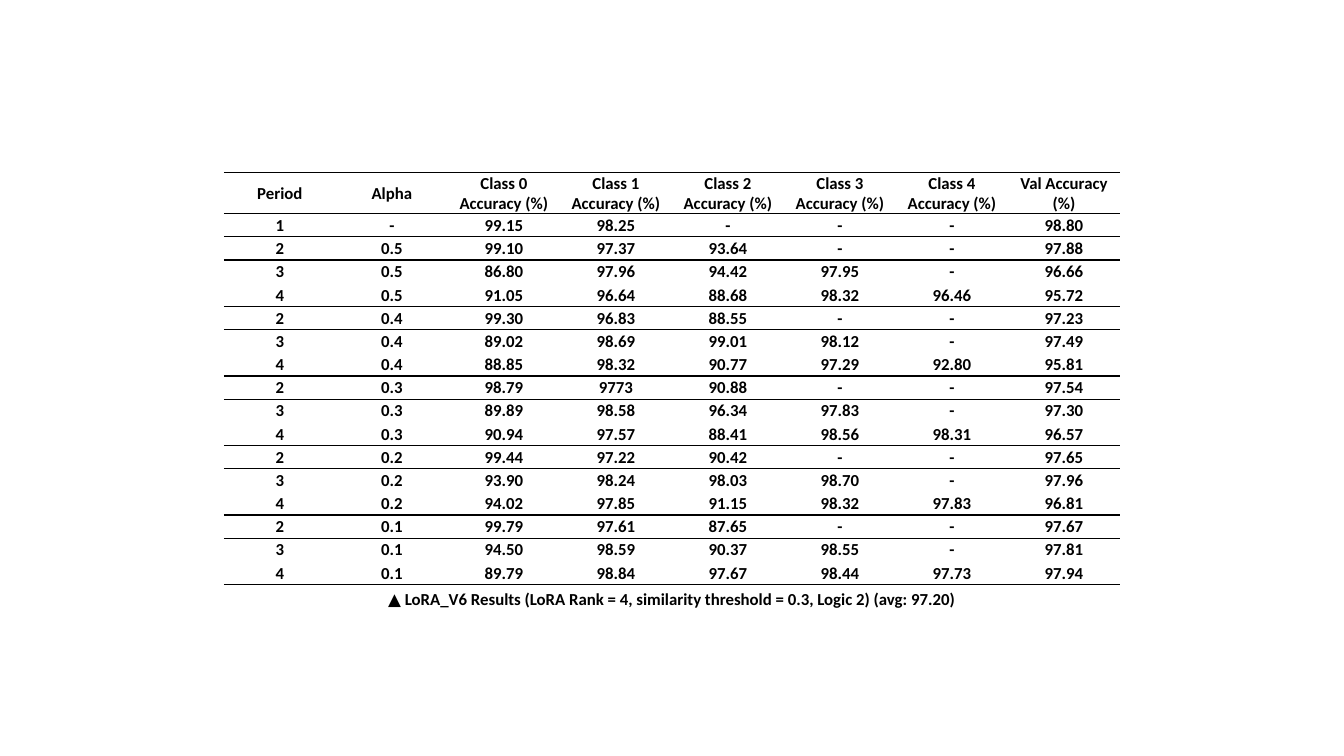
from dataclasses import dataclass

from lxml import etree
from pptx import Presentation
from pptx.dml.color import RGBColor
from pptx.enum.text import MSO_ANCHOR, MSO_AUTO_SIZE, PP_ALIGN
from pptx.oxml.ns import qn
from pptx.util import Inches, Pt

CENTER = PP_ALIGN.CENTER
MIDDLE = MSO_ANCHOR.MIDDLE
GROW = MSO_AUTO_SIZE.SHAPE_TO_FIT_TEXT


@dataclass(frozen=True)
class Theme:
    ink: str = "000000"
    font: str = "Calibri"
    symbol_font: str = "Lato"
    size: int = 12
    rule: int = 1


THEME = Theme()

CELL_FORMAT = {
    "margin_left": Inches(0.01),
    "margin_right": Inches(0.01),
    "margin_top": Inches(0.01),
    "margin_bottom": 0,
    "vertical_anchor": MIDDLE,
}
FONT_FORMAT = {"size": Pt(THEME.size), "bold": True}

HEADER = ["Period", "Alpha"]
HEADER += [f"Class {n} Accuracy (%)" for n in range(5)]
HEADER += ["Val Accuracy\n(%)"]

# Period, alpha, accuracy of classes 0 to 4, validation accuracy
RESULTS = """
1 - 99.15 98.25 - - - 98.80
2 0.5 99.10 97.37 93.64 - - 97.88
3 0.5 86.80 97.96 94.42 97.95 - 96.66
4 0.5 91.05 96.64 88.68 98.32 96.46 95.72
2 0.4 99.30 96.83 88.55 - - 97.23
3 0.4 89.02 98.69 99.01 98.12 - 97.49
4 0.4 88.85 98.32 90.77 97.29 92.80 95.81
2 0.3 98.79 9773 90.88 - - 97.54
3 0.3 89.89 98.58 96.34 97.83 - 97.30
4 0.3 90.94 97.57 88.41 98.56 98.31 96.57
2 0.2 99.44 97.22 90.42 - - 97.65
3 0.2 93.90 98.24 98.03 98.70 - 97.96
4 0.2 94.02 97.85 91.15 98.32 97.83 96.81
2 0.1 99.79 97.61 87.65 - - 97.67
3 0.1 94.50 98.59 90.37 98.55 - 97.81
4 0.1 89.79 98.84 97.67 98.44 97.73 97.94
"""

CAPTION = [
    ("▲", THEME.symbol_font),
    (" LoRA_V6 Results (LoRA Rank = 4, similarity threshold = 0.3, Logic 2) (avg: 97.20)",
     THEME.font),
]


def apply_format(target, values):
    for name, value in values.items():
        setattr(target, name, value)


def style_run(r, font_name):
    apply_format(r.font, {**FONT_FORMAT, "name": font_name})
    r.font.color.rgb = RGBColor.from_string(THEME.ink)


def set_borders(cell, top, bottom):
    """Rule the cell above and below as asked; leave the sides open."""
    tc_pr = cell._tc.get_or_add_tcPr()
    for tag, ruled in (("lnL", False), ("lnR", False), ("lnT", top), ("lnB", bottom)):
        ln = etree.SubElement(tc_pr, qn(f"a:{tag}"), w=str(Pt(THEME.rule)))
        if ruled:
            fill = etree.SubElement(ln, qn("a:solidFill"))
            etree.SubElement(fill, qn("a:srgbClr"), val=THEME.ink)
        else:
            etree.SubElement(ln, qn("a:noFill"))


def fill_cell(cell, text, top, bottom):
    apply_format(cell, CELL_FORMAT)
    set_borders(cell, top, bottom)
    cell.fill.background()
    cell.text_frame.text = text
    for p in cell.text_frame.paragraphs:
        p.alignment = CENTER
        for r in p.runs:
            style_run(r, THEME.font)


def add_results_table(slide, rows, left, top, width, header_height, row_height):
    height = header_height + row_height * (len(rows) - 1)
    table = slide.shapes.add_table(len(rows), len(rows[0]), left, top, width, height).table
    apply_format(table, {"first_row": False, "horz_banding": False})
    for i, row in enumerate(table.rows):
        row.height = row_height if i else header_height

    # Periods 3 and 4 share a block, so no rule follows period 3
    ruled_above = True
    for i, row in enumerate(rows):
        ruled_below = row[0] != "3"
        for j, text in enumerate(row):
            fill_cell(table.cell(i, j), text, ruled_above, ruled_below)
        ruled_above = ruled_below


def add_caption(slide, runs, left, top, width, height):
    tf = slide.shapes.add_textbox(left, top, width, height).text_frame
    apply_format(tf, {"word_wrap": True, "auto_size": GROW})
    p = tf.paragraphs[0]
    p.alignment = CENTER
    for text, font_name in runs:
        r = p.add_run()
        r.text = text
        style_run(r, font_name)


def main():
    prs = Presentation()
    prs.slide_width, prs.slide_height = Inches(13.33), Inches(7.5)
    slide = prs.slides.add_slide(prs.slide_layouts[6])

    # Caption under the table
    add_caption(slide, CAPTION, Inches(3.33), Inches(5.79), Inches(6.67), Inches(0.3))

    # Accuracy per period and alpha
    rows = [HEADER] + [line.split() for line in RESULTS.strip().splitlines()]
    add_results_table(slide, rows, Inches(2.22), Inches(1.71), Inches(8.89),
                      Inches(0.4), Inches(0.23))

    prs.save("out.pptx")


if __name__ == "__main__":
    main()
